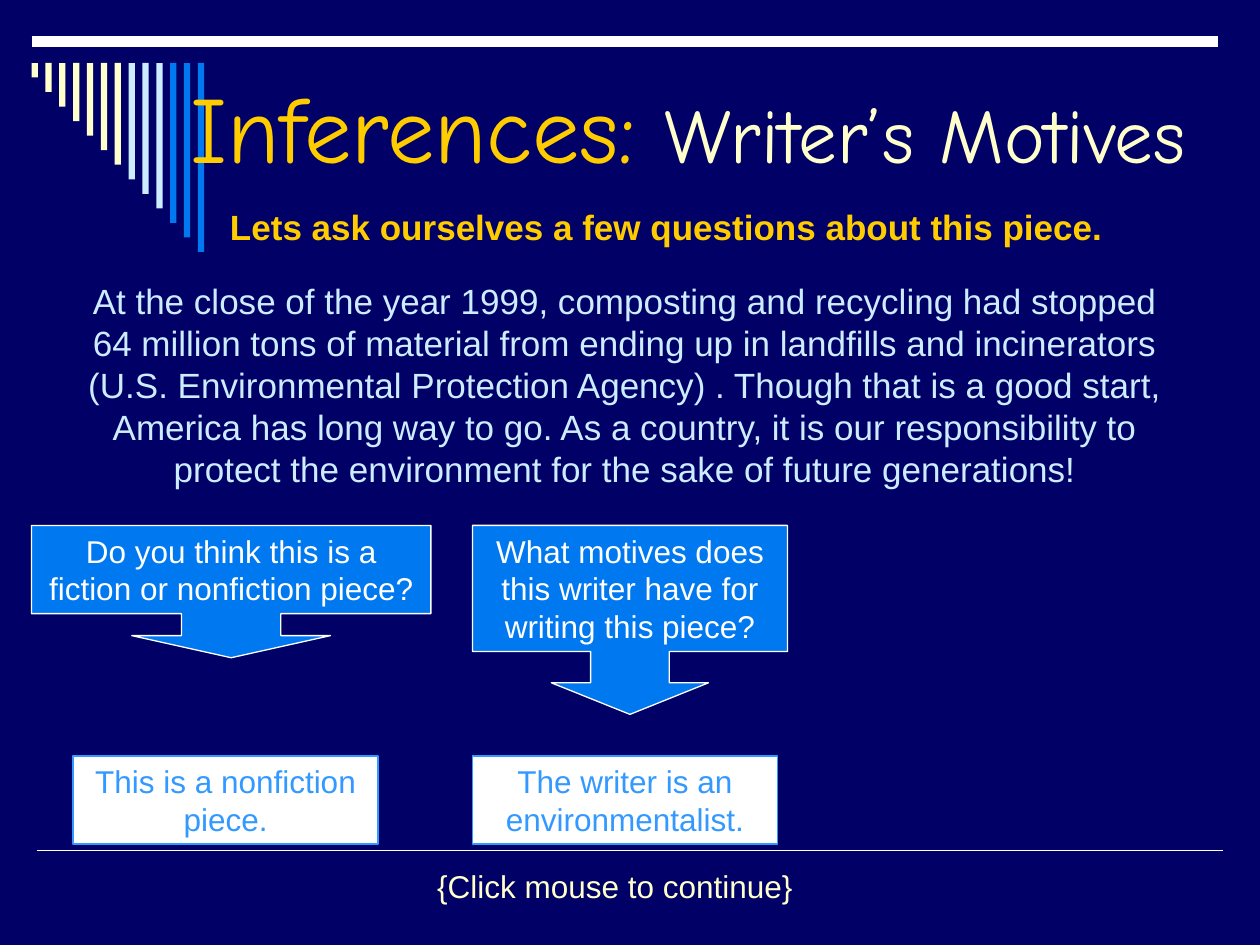
from lxml import etree
from pptx import Presentation
from pptx import util as u
from pptx.dml.color import RGBColor
from pptx.enum import shapes, text
from pptx.oxml.ns import qn

NAVY, WHITE, CREAM, GOLD = "000066", "FFFFFF", "FFFFCC", "FFCC00"
PALE, BLUE, SKY = "CCECFF", "0078F0", "3399FF"
SHAPE = shapes.MSO_SHAPE

BAR_COLORS = [CREAM] * 7 + [PALE] * 3 + [BLUE] * 3
BAR_LEFT, BAR_TOP, BAR_WIDTH, BAR_PITCH, BAR_MAX = 0.25, 0.5, 0.05, 0.11, 1.5

STATEMENT = (
    "At the close of the year 1999, composting and recycling had stopped "
    "64 million tons of material from ending up in landfills and incinerators "
    "(U.S. Environmental Protection Agency) . Though that is a good start, "
    "America has long way to go. As a country, it is our responsibility to "
    "protect the environment for the sake of future generations!"
)


def paint(color_format, hex_color):
    color_format.rgb = RGBColor.from_string(hex_color)


def fill_with(fill, hex_color):
    fill.solid()
    paint(fill.fore_color, hex_color)


def inches(*lengths):
    return [u.Inches(length) for length in lengths]


def write(frame, *runs, anchor=text.MSO_ANCHOR.TOP, font="Arial", bold=False):
    """Fill a frame with one centred paragraph of (words, size, color) runs."""
    frame.word_wrap = True
    frame.auto_size = text.MSO_AUTO_SIZE.NONE
    frame.vertical_anchor = anchor
    paragraph = frame.paragraphs[0]
    paragraph.alignment = text.PP_ALIGN.CENTER
    for words, size, color in runs:
        run = paragraph.add_run()
        run.text = words
        run.font.name = font
        run.font.size = u.Pt(size)
        run.font.bold = bold
        paint(run.font.color, color)


def add_rule(slide, left, right, y, width):
    rule = slide.shapes.add_connector(
        shapes.MSO_CONNECTOR.STRAIGHT, *inches(left, y, right, y))
    paint(rule.line.color, WHITE)
    rule.line.width = u.Pt(width)
    etree.SubElement(rule._element.spPr, qn("a:effectLst"))


def add_block(slide, kind, box, fill, outline=None):
    block = slide.shapes.add_shape(kind, *inches(*box))
    block.shadow.inherit = False
    fill_with(block.fill, fill)
    if outline:
        paint(block.line.color, outline)
        block.line.width = u.Pt(0.75)
    else:
        block.line.fill.background()
    return block


def add_bars(slide):
    step = BAR_MAX / len(BAR_COLORS)
    for i, color in enumerate(BAR_COLORS):
        box = (BAR_LEFT + i * BAR_PITCH, BAR_TOP, BAR_WIDTH, (i + 1) * step)
        add_block(slide, SHAPE.RECTANGLE, box, color)


def add_question(slide, box, arrow, words):
    callout = add_block(slide, SHAPE.DOWN_ARROW_CALLOUT, box, BLUE, WHITE)
    for i, share in enumerate((arrow, arrow, 0.167, 0.667)):
        callout.adjustments[i] = share
    write(callout.text_frame, (words, 18, WHITE))


def add_answer(slide, left, words):
    answer = add_block(slide, SHAPE.RECTANGLE, (left, 6, 2.42, 0.7), WHITE, SKY)
    write(answer.text_frame, (words, 18, SKY))


def add_text(slide, box, words, size, color, **style):
    label = slide.shapes.add_textbox(*inches(*box))
    write(label.text_frame, (words, size, color), **style)


def add_title(slide):
    title = slide.shapes.title
    title.left, title.top, title.width, title.height = inches(1.17, 0.5, 8.58, 1)
    write(title.text_frame, ("Inferences:", 54, GOLD), (" ", 48, GOLD),
          ("Writer’s Motives", 44, CREAM),
          anchor=text.MSO_ANCHOR.MIDDLE, font="Comic Neue")
    # The title overlaps the bars, so it goes in front of them.
    slide.shapes._spTree.append(title._element)


def main():
    deck = Presentation()
    deck.slide_width, deck.slide_height = inches(10, 7.5)
    slide = deck.slides.add_slide(deck.slide_layouts.get_by_name("Title Only"))
    fill_with(slide.background.fill, NAVY)

    add_rule(slide, 0.29, 9.71, 6.75, 1)
    add_rule(slide, 0.25, 9.67, 0.33, 6)
    add_bars(slide)

    add_question(slide, (0.25, 4.17, 3.17, 1.05), 0.751,
                 "Do you think this is a fiction or nonfiction piece?")
    add_question(slide, (3.75, 4.17, 2.5, 1.5), 0.416,
                 "What motives does this writer have for writing this piece?")
    add_text(slide, (0.5, 2.17, 8.92, 1.77), STATEMENT, 20, PALE)
    add_title(slide)
    add_text(slide, (1.25, 1.58, 8.08, 0.44),
             "Lets ask ourselves a few questions about this piece.",
             20, GOLD, bold=True)
    add_answer(slide, 0.58, "This is a nonfiction piece.")
    add_answer(slide, 3.75, "The writer is an environmentalist.")
    add_text(slide, (3.17, 6.83, 3.42, 0.4), "{Click mouse to continue}", 18, CREAM)

    deck.save("out.pptx")


if __name__ == "__main__":
    main()
